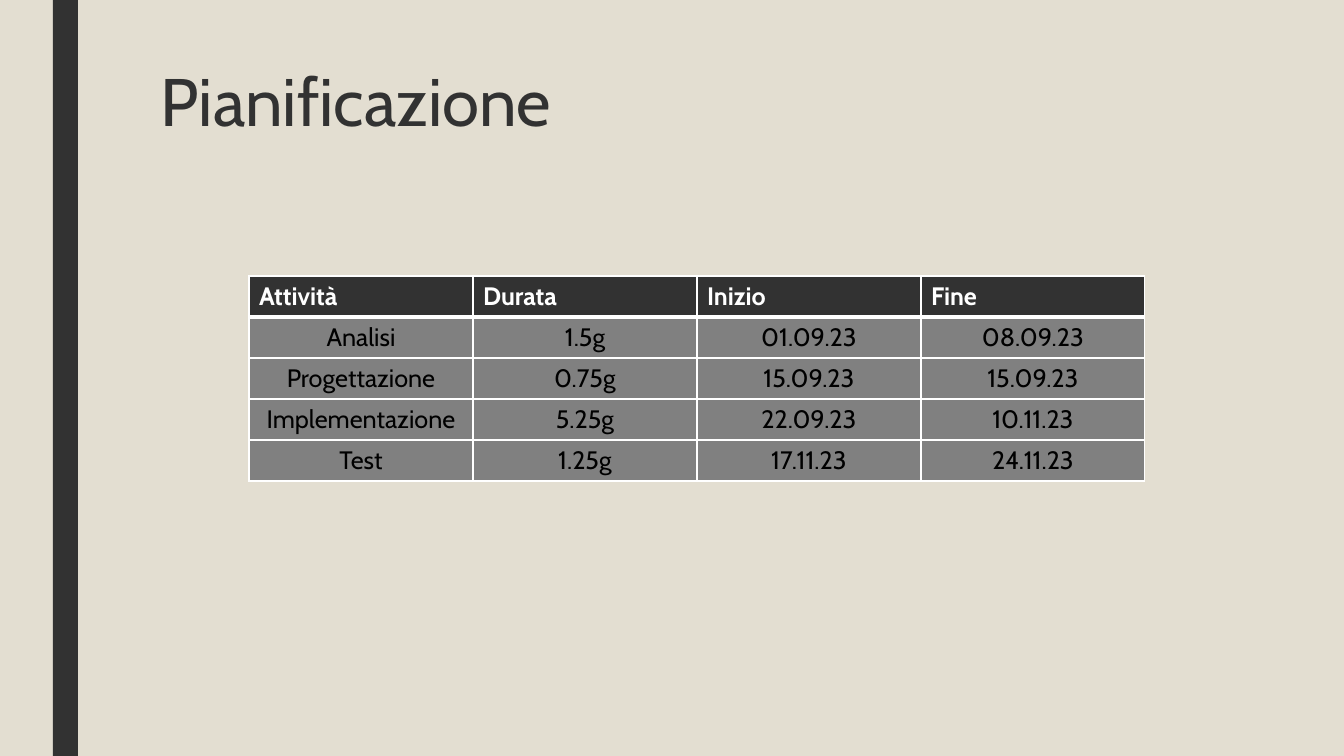
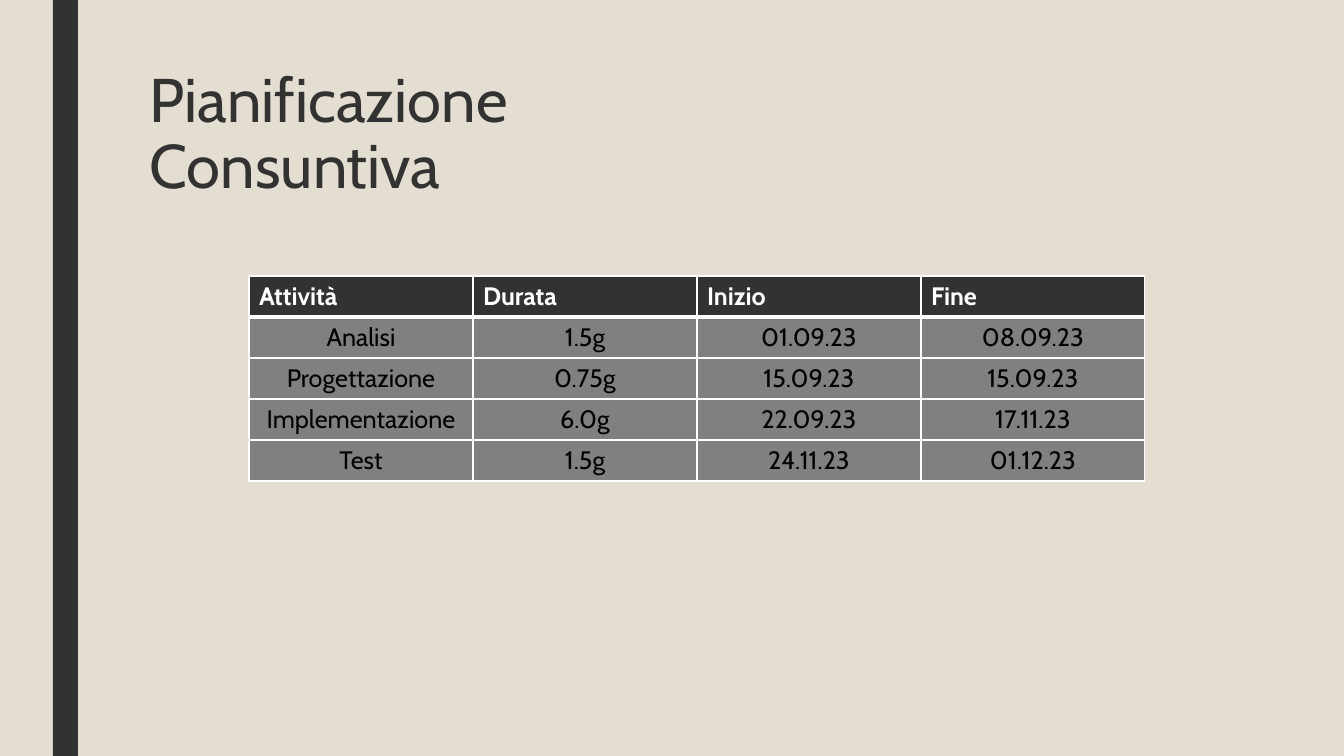
from dataclasses import dataclass

from lxml.etree import SubElement
from pptx import Presentation
from pptx.dml.color import RGBColor
from pptx.enum.shapes import MSO_SHAPE
from pptx.enum.text import MSO_ANCHOR, PP_ALIGN
from pptx.oxml.ns import qn
from pptx.util import Pt


@dataclass(frozen=True)
class Theme:
    font: str = "Cabin"
    paper: str = "E3DED1"
    dark: str = "323232"
    gray: str = "808080"
    white: str = "FFFFFF"
    black: str = "000000"
    body: int = 18
    thin: int = 1
    thick: int = 3
    lead: float = 0.89


THEME = Theme()
SIZE = (1344, 756)
BAND = (53, 0, 25, 756)
GRID = (249, 276)
CELL = (224, 41)
HEAD = ("Attività", "Durata", "Inizio", "Fine")

SLIDES = [
    {
        "title": "Pianificazione",
        "box": (151, 53, 1040, 93),
        "size": 48,
        "anchor": MSO_ANCHOR.BOTTOM,
        "rows": [
            ("Analisi", "1.5g", "01.09.23", "08.09.23"),
            ("Progettazione", "0.75g", "15.09.23", "15.09.23"),
            ("Implementazione", "5.25g", "22.09.23", "10.11.23"),
            ("Test", "1.25g", "17.11.23", "24.11.23"),
        ],
    },
    {
        "title": "Pianificazione Consuntiva",
        "box": (140, 65, 484, 163),
        "size": 44,
        "anchor": MSO_ANCHOR.TOP,
        "rows": [
            ("Analisi", "1.5g", "01.09.23", "08.09.23"),
            ("Progettazione", "0.75g", "15.09.23", "15.09.23"),
            ("Implementazione", "6.0g", "22.09.23", "17.11.23"),
            ("Test", "1.5g", "24.11.23", "01.12.23"),
        ],
    },
]


def px(*nums):
    return [round(n * 914400 / 100.8) for n in nums]


def paint(fill, color):
    fill.solid()
    fill.fore_color.rgb = RGBColor.from_string(color)


def style(par, size, color, bold=False):
    for run in par.runs:
        run.font.name = THEME.font
        run.font.size = Pt(size)
        run.font.bold = bold
        run.font.color.rgb = RGBColor.from_string(color)


def add_band(slide):
    band = slide.shapes.add_shape(MSO_SHAPE.RECTANGLE, *px(*BAND))
    band.shadow.inherit = False
    paint(band.fill, THEME.dark)
    band.line.fill.background()


def add_title(slide, page):
    frame = slide.shapes.add_textbox(*px(*page["box"])).text_frame
    frame.word_wrap = True
    frame.vertical_anchor = page["anchor"]
    frame.text = page["title"]
    par = frame.paragraphs[0]
    par.line_spacing = THEME.lead
    style(par, page["size"], THEME.dark)


def add_edges(cell, top, bottom):
    props = cell._tc.get_or_add_tcPr()
    sides = {"L": THEME.thin, "R": THEME.thin, "T": top, "B": bottom}
    for spot, (side, width) in enumerate(sides.items()):
        line = SubElement(props, qn(f"a:ln{side}"), w=str(Pt(width)))
        solid = SubElement(line, qn("a:solidFill"))
        SubElement(solid, qn("a:srgbClr"), val=THEME.white)
        props.insert(spot, line)


def add_grid(slide, rows):
    data = [HEAD, *rows]
    wide, high = CELL
    area = px(*GRID, wide * len(HEAD), high * len(data))
    table = slide.shapes.add_table(len(data), len(HEAD), *area).table
    for col in table.columns:
        col.width = px(wide)[0]
    for r, texts in enumerate(data):
        table.rows[r].height = px(high)[0]
        head = r == 0
        for c, text in enumerate(texts):
            cell = table.cell(r, c)
            cell.text_frame.text = text
            par = cell.text_frame.paragraphs[0]
            par.alignment = PP_ALIGN.LEFT if head else PP_ALIGN.CENTER
            style(par, THEME.body, THEME.white if head else THEME.black, head)
            paint(cell.fill, THEME.dark if head else THEME.gray)
            add_edges(cell, THEME.thick if r == 1 else THEME.thin,
                      THEME.thick if head else THEME.thin)


def main():
    deck = Presentation()
    deck.slide_width, deck.slide_height = px(*SIZE)
    paint(deck.slide_master.background.fill, THEME.paper)
    for page in SLIDES:
        slide = deck.slides.add_slide(deck.slide_layouts[6])
        add_band(slide)
        add_title(slide, page)
        add_grid(slide, page["rows"])
    deck.save("out.pptx")


if __name__ == "__main__":
    main()
